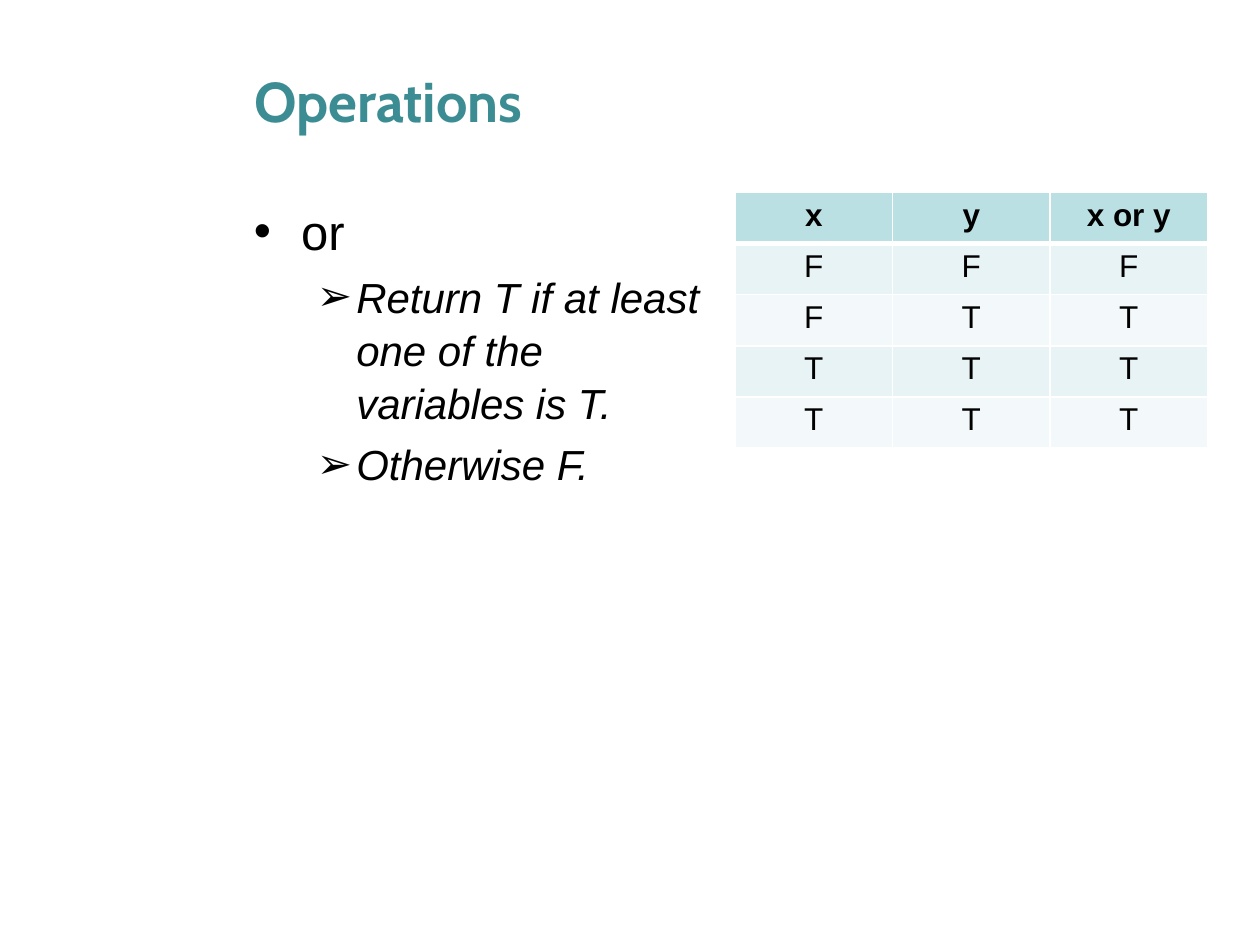
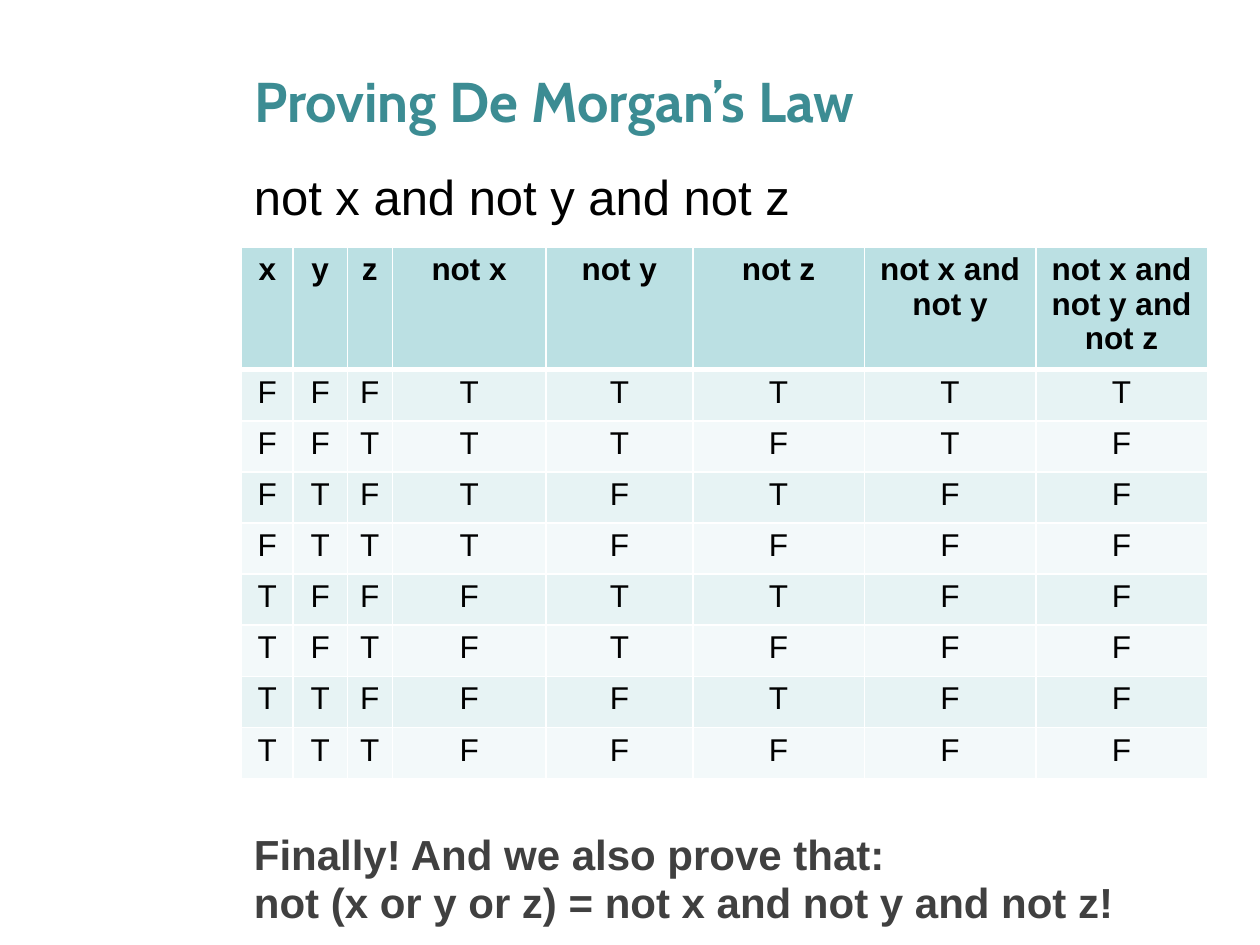
from itertools import product

from lxml.etree import SubElement
from pptx import Presentation
from pptx.dml.color import RGBColor
from pptx.enum.text import MSO_ANCHOR, PP_ALIGN
from pptx.oxml.ns import qn
from pptx.util import Pt

TEAL, BLACK, GREY, WHITE = "3C8C93", "000000", "404040", "FFFFFF"
HEADER_FILL, BAND_FILLS = "BBE0E3", ("E7F3F4", "F3F9FA")
LEFT, CONTENT_WIDTH = 138, 552
ROW_HEIGHT = 29.2


def rgb(value):
    return RGBColor.from_string(value)


def style(paragraph, size, color=BLACK, bold=False, italic=False, face="Arial"):
    font = paragraph.font
    font.name, font.size = face, Pt(size)
    font.bold, font.italic = bold, italic
    font.color.rgb = rgb(color)


def add_title_slide(deck, heading):
    slide = deck.slides.add_slide(deck.slide_layouts[5])
    title = slide.shapes.title
    title.left, title.top = Pt(LEFT), Pt(24)
    title.width, title.height = Pt(CONTENT_WIDTH), Pt(66)
    title.text = heading
    title.text_frame.vertical_anchor = MSO_ANCHOR.MIDDLE
    paragraph = title.text_frame.paragraphs[0]
    paragraph.alignment = PP_ALIGN.LEFT
    style(paragraph, 32, TEAL, bold=True, face="Cabin")
    return slide


def add_lines(slide, box, lines, spacing, space_before=4.8):
    """Add a text box; each line is (text, bullet, margin, hanging, font settings)."""
    frame = slide.shapes.add_textbox(*map(Pt, box)).text_frame
    frame.word_wrap = True
    for index, (text, bullet, margin, hanging, font) in enumerate(lines):
        paragraph = frame.add_paragraph() if index else frame.paragraphs[0]
        paragraph.text = text
        paragraph.line_spacing = spacing
        if index:
            paragraph.space_before = Pt(space_before)
        if bullet:
            properties = paragraph._p.get_or_add_pPr()
            properties.set("marL", str(Pt(margin)))
            properties.set("indent", str(-Pt(hanging)))
            SubElement(properties, qn("a:buFont"), typeface="Arial")
            SubElement(properties, qn("a:buChar"), char=bullet)
        style(paragraph, **font)


def set_borders(cell, top, bottom):
    properties = cell._tc.get_or_add_tcPr()
    for side, width in (("L", 1), ("R", 1), ("T", top), ("B", bottom)):
        line = SubElement(properties, qn(f"a:ln{side}"), w=str(Pt(width)))
        fill = SubElement(line, qn("a:solidFill"))
        SubElement(fill, qn("a:srgbClr"), val=WHITE)


def add_truth_table(slide, left, top, widths, header, rows, header_height=ROW_HEIGHT):
    heights = [header_height] + [ROW_HEIGHT] * len(rows)
    table = slide.shapes.add_table(len(heights), len(widths), Pt(left), Pt(top),
                                   Pt(sum(widths)), Pt(sum(heights))).table
    for column, width in zip(table.columns, widths):
        column.width = Pt(width)
    for r, values in enumerate([header, *rows]):
        table.rows[r].height = Pt(heights[r])
        for c, value in enumerate(values):
            cell = table.cell(r, c)
            set_borders(cell, top=3 if r == 1 else 1, bottom=1 if r else 3)
            cell.fill.solid()
            cell.fill.fore_color.rgb = rgb(BAND_FILLS[(r - 1) % 2] if r else HEADER_FILL)
            cell.text = value
            paragraph = cell.text_frame.paragraphs[0]
            paragraph.alignment = PP_ALIGN.CENTER
            paragraph.line_spacing = 0.97
            style(paragraph, 18, bold=r == 0)


def build_operations(deck):
    slide = add_title_slide(deck, "Operations")
    detail = ("➢", 58.5, 22.5, dict(size=24, italic=True))
    add_lines(slide, (LEFT, 110, 270, 360), [
        ("or", "•", 27, 27, dict(size=28)),
        ("Return T if at least one of the variables is T.", *detail),
        ("Otherwise F.", *detail),
    ], spacing=1.05)
    add_truth_table(slide, 420, 110, [90] * 3, ["x", "y", "x or y"],
                    ["FFF", "FTT", "TTT", "TTT"])


def de_morgan_rows():
    """Return the letters of x, y, z, their negations and the two conjunctions."""
    rows = []
    for x, y, z in product((False, True), repeat=3):
        values = (x, y, z, not x, not y, not z, not x and not y,
                  not x and not y and not z)
        rows.append(["T" if value else "F" for value in values])
    return rows


def build_de_morgan(deck):
    slide = add_title_slide(deck, "Proving De Morgan’s Law")
    add_lines(slide, (LEFT, 90, CONTENT_WIDTH, 51),
              [("not x and not y and not z", None, 0, 0, dict(size=28))], spacing=1.05)
    add_truth_table(slide, LEFT, 141.2, [29.5, 31, 25.8, 87.7, 84, 98, 98, 98],
                    ["x", "y", "z", "not x", "not y", "not z", "not x and not y",
                     "not x and not y and not z"],
                    de_morgan_rows(), header_height=67.5)
    conclusion = (None, 0, 0, dict(size=24, color=GREY, bold=True))
    add_lines(slide, (LEFT, 475.2, CONTENT_WIDTH, 60), [
        ("Finally! And we also prove that:", *conclusion),
        ("not (x or y or z) = not x and not y and not z!", *conclusion),
    ], spacing=0.8)


def main():
    deck = Presentation()
    deck.slide_width, deck.slide_height = Pt(720), Pt(540)
    build_operations(deck)
    build_de_morgan(deck)
    deck.save("out.pptx")


if __name__ == "__main__":
    main()
